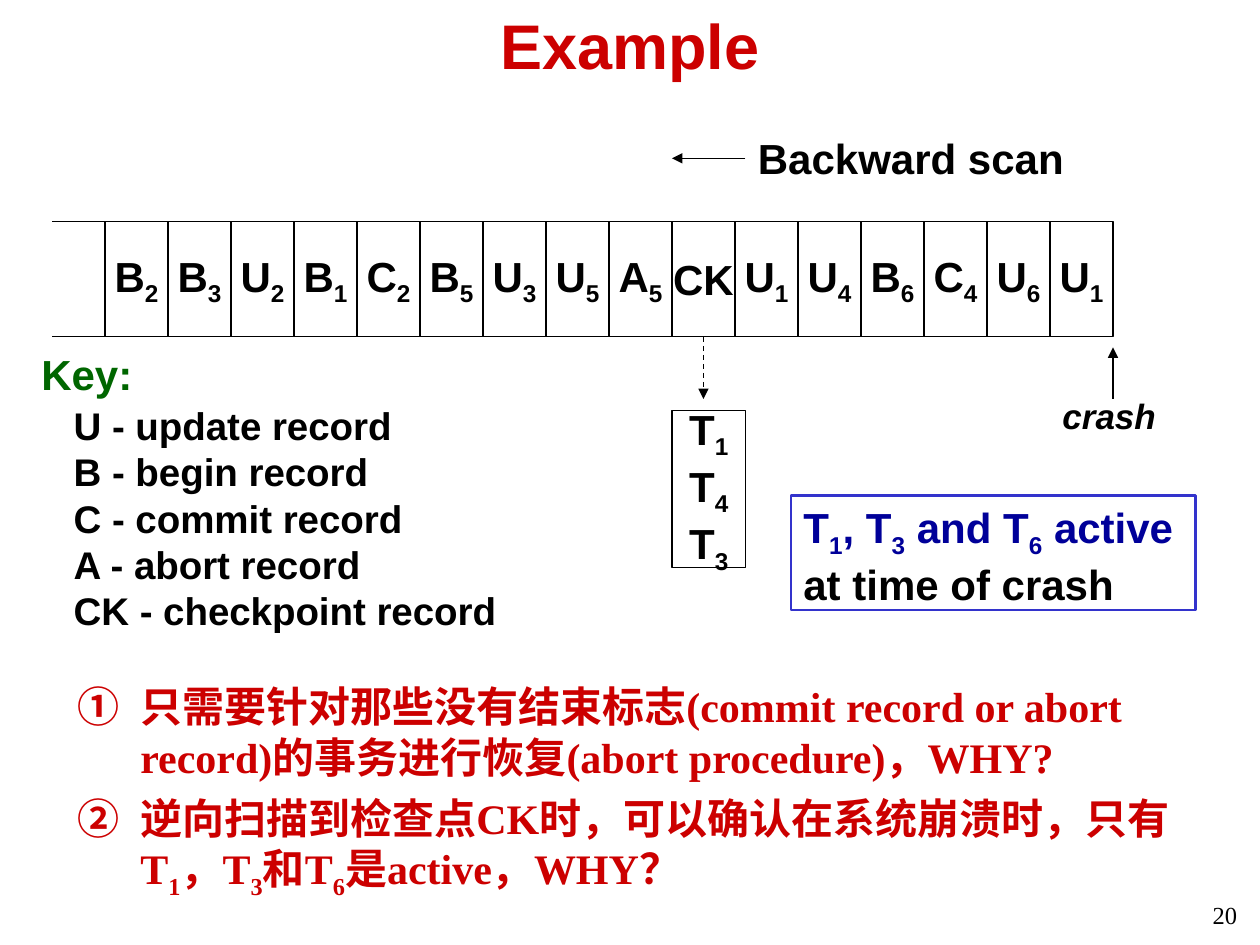
from dataclasses import dataclass

from lxml import etree
from pptx import Presentation
from pptx.dml.color import RGBColor
from pptx.enum.dml import MSO_LINE
from pptx.enum.shapes import MSO_CONNECTOR, MSO_SHAPE
from pptx.enum.text import MSO_ANCHOR, MSO_AUTO_SIZE, PP_ALIGN
from pptx.oxml.ns import qn
from pptx.util import Pt

LEFT, CENTER, RIGHT = PP_ALIGN.LEFT, PP_ALIGN.CENTER, PP_ALIGN.RIGHT
TOP, MIDDLE = MSO_ANCHOR.TOP, MSO_ANCHOR.MIDDLE
GROW, FIXED = MSO_AUTO_SIZE.SHAPE_TO_FIT_TEXT, MSO_AUTO_SIZE.NONE
RECT, STRAIGHT = MSO_SHAPE.RECTANGLE, MSO_CONNECTOR.STRAIGHT
DASH = MSO_LINE.DASH
BOTTOM_SITE = 2


@dataclass(frozen=True)
class Theme:
    sans: str = "Arial"
    serif: str = "Times New Roman"
    black: str = "000000"
    white: str = "FFFFFF"
    red: str = "CC0000"
    green: str = "006600"
    navy: str = "000099"
    blue: str = "3333CC"
    title: int = 36
    text: int = 24
    key: int = 22
    label: int = 20
    number: int = 14


THEME = Theme()


def write(p, text, size=THEME.text, color=THEME.black, font=THEME.sans,
          bold=True, italic=False, align=LEFT):
    """Add text to a paragraph; the character after each "_" is a subscript."""
    p.alignment = align
    first, *rest = text.split("_")
    pieces = [(first, False)]
    for part in rest:
        pieces += [(part[0], True), (part[1:], False)]
    for piece, subscript in pieces:
        if not piece:
            continue
        r = p.add_run()
        r.text = piece
        r.font.name, r.font.size = font, Pt(size)
        r.font.bold, r.font.italic = bold, italic
        r.font.color.rgb = RGBColor.from_string(color)
        if subscript:
            r._r.get_or_add_rPr().set("baseline", "-25000")


def indent(p, left, first=0):
    pPr = p._p.get_or_add_pPr()
    pPr.set("marL", str(Pt(left)))
    pPr.set("indent", str(Pt(first)))
    return pPr


def paragraphs(tf, count):
    return [tf.paragraphs[0]] + [tf.add_paragraph() for _ in range(count - 1)]


class SlideBuilder:
    def __init__(self, slide, theme):
        self.s = slide
        self.theme = theme

    def placeholder(self, sp, box, anchor):
        sp.left, sp.top, sp.width, sp.height = map(Pt, box)
        tf = sp.text_frame
        tf.auto_size, tf.vertical_anchor, tf.word_wrap = FIXED, anchor, True
        return tf

    def title(self, text, box):
        tf = self.placeholder(self.s.shapes.title, box, MIDDLE)
        write(tf.paragraphs[0], text, self.theme.title, self.theme.red, align=CENTER)

    def numbered_list(self, items, box):
        tf = self.placeholder(self.s.placeholders[1], box, TOP)
        for i, (p, item) in enumerate(zip(paragraphs(tf, len(items)), items)):
            write(p, item, color=self.theme.red, font=self.theme.serif)
            p.space_before = Pt(6 if i else 0)
            pPr = indent(p, 36, -36)
            etree.SubElement(pPr, qn("a:buFont"), typeface="+mj-lt")
            etree.SubElement(pPr, qn("a:buAutoNum"), type="circleNumDbPlain")

    def textbox(self, box, lines, wrap=False, **style):
        tf = self.s.shapes.add_textbox(*map(Pt, box)).text_frame
        tf.word_wrap, tf.auto_size = wrap, GROW
        for p, line in zip(paragraphs(tf, len(lines)), lines):
            write(p, line, **style)
        return tf

    def rect(self, box, lines=(), fill=None, line=None, width=0.75):
        sp = self.s.shapes.add_shape(RECT, *map(Pt, box))
        sp.shadow.inherit = False
        if fill:
            sp.fill.solid()
            sp.fill.fore_color.rgb = RGBColor.from_string(fill)
        else:
            sp.fill.background()
        sp.line.color.rgb = RGBColor.from_string(line or self.theme.black)
        sp.line.width = Pt(width)
        tf = sp.text_frame
        tf.word_wrap, tf.vertical_anchor = False, MIDDLE
        for p, text in zip(paragraphs(tf, len(lines)), lines):
            write(p, text, align=CENTER)
        return sp

    def line(self, start, end, arrow=False, dash=None, source=None):
        c = self.s.shapes.add_connector(STRAIGHT, *map(Pt, start + end))
        if source is not None:
            c.begin_connect(source, BOTTOM_SITE)
        c.line.color.rgb = RGBColor.from_string(self.theme.black)
        c.line.width = Pt(0.75)
        if dash:
            c.line.dash_style = dash
        if arrow:
            etree.SubElement(c.line._get_or_add_ln(), qn("a:tailEnd"), type="triangle")
        etree.SubElement(c._element.spPr, qn("a:effectLst"))


def add_log(b):
    """Draw the log records, the scan and crash arrows and the checkpoint list."""
    records = "B_2 B_3 U_2 B_1 C_2 B_5 U_3 U_5 A_5 CK U_1 U_4 B_6 C_4 U_6 U_1".split()
    left, top, width, height = 60, 126.5, 36, 66
    cells = {}
    for i, record in enumerate(records):
        box = (left + i * width, top, width, height)
        cells[record] = b.rect(box, [record], b.theme.white)
    for y in (top, top + height):
        b.line((30, y), (left, y))

    ck_left = left + records.index("CK") * width
    ck_middle = ck_left + width / 2
    log_end = left + len(records) * width
    b.rect((ck_left, 234.5, 42, 90), ["T_1", "T_4", "T_3"], b.theme.white)
    b.line((ck_middle, top + height), (ck_middle, 228), True, DASH, cells["CK"])
    b.line((426, 90.5), (ck_left, 90.5), True)
    b.line((log_end, 228), (log_end, 198.5), True)
    b.textbox((426, 72, 192, 36), ["Backward scan"])
    b.textbox((600, 222, 76, 31), ["crash"], size=b.theme.label, italic=True)


def add_key(b):
    tf = b.textbox((16.5, 195.5, 278, 170), ["Key:"], color=b.theme.green)
    tf.paragraphs[0].space_after = Pt(2)
    for record in ("U - update record", "B - begin record", "C - commit record",
                   "A - abort record", "CK - checkpoint record"):
        p = tf.add_paragraph()
        write(p, record, b.theme.key)
        indent(p, 18.5)


def add_conclusion(b):
    sp = b.rect((452, 283, 231, 65.5), line=b.theme.blue, width=1.5)
    tf = sp.text_frame
    tf.word_wrap, tf.vertical_anchor, tf.auto_size = True, TOP, GROW
    p = tf.paragraphs[0]
    write(p, "T_1, T_3 and T_6 active ", color=b.theme.navy)
    write(p, "at time of crash")


def main():
    prs = Presentation()
    prs.slide_width, prs.slide_height = Pt(720), Pt(540)
    b = SlideBuilder(prs.slides.add_slide(prs.slide_layouts[1]), THEME)
    b.title("Example", (54, 0, 612, 51))
    add_log(b)
    add_key(b)
    add_conclusion(b)
    b.numbered_list([
        "只需要针对那些没有结束标志(commit record or abort record)"
        "的事务进行恢复(abort procedure)，WHY?",
        "逆向扫描到检查点CK时，可以确认在系统崩溃时，只有"
        "T_1，T_3和T_6是active，WHY？",
    ], (37, 385.5, 653, 129.5))
    b.textbox((564, 511, 150, 28), ["20"], wrap=True, size=THEME.number,
              font=THEME.serif, bold=False, align=RIGHT)
    prs.save("out.pptx")


if __name__ == "__main__":
    main()
